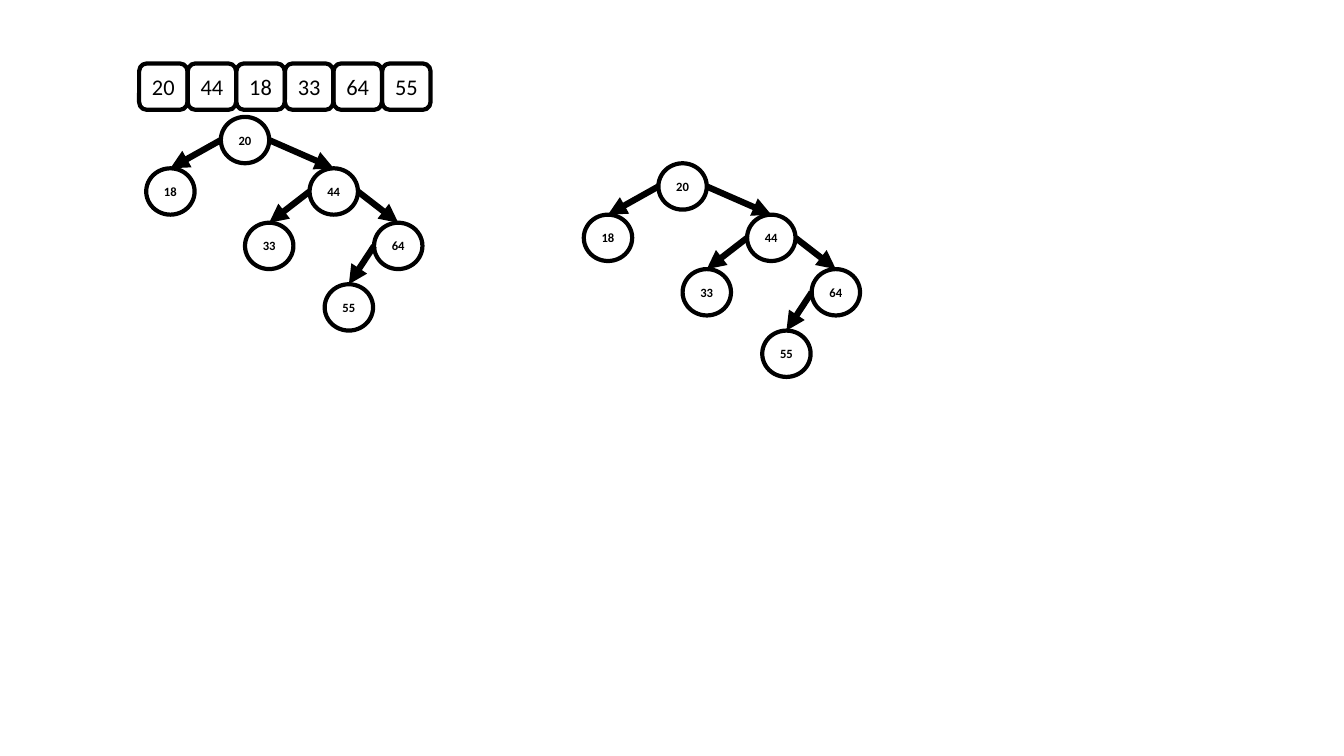
from lxml import etree
from pptx import Presentation
from pptx.dml.color import RGBColor
from pptx.enum.shapes import MSO_CONNECTOR, MSO_SHAPE
from pptx.enum.text import MSO_ANCHOR, PP_ALIGN
from pptx.oxml.ns import qn
from pptx.util import Inches, Pt

ARRAY = [20, 44, 18, 33, 64, 55]
NODE_OFFSETS = {
    20: (0, 0),
    44: (0.88, 0.51),
    18: (-0.74, 0.51),
    33: (0.24, 1.05),
    64: (1.52, 1.05),
    55: (1.03, 1.66),
}
EDGES = [(20, 18), (20, 44), (44, 33), (44, 64), (64, 55)]
TREE_ROOTS = [(2.19, 1.16), (6.53, 1.62)]
ARRAY_LEFT, ARRAY_TOP = 1.38, 0.63
CELL_W, CELL_H = 0.48, 0.46
CELL_STEP = 0.482
BLACK = RGBColor(0, 0, 0)

prs = Presentation()
prs.slide_width, prs.slide_height = Inches(13.33), Inches(7.5)
slide = prs.slides.add_slide(prs.slide_layouts[6])


def add_value(kind, left, top, value, size, bold):
    shape = slide.shapes.add_shape(
        kind, Inches(left), Inches(top), Inches(CELL_W), Inches(CELL_H))
    shape.shadow.inherit = False
    shape.fill.background()
    shape.line.color.rgb = BLACK
    shape.line.width = Pt(3)
    frame = shape.text_frame
    frame.margin_left = frame.margin_right = 0
    frame.vertical_anchor = MSO_ANCHOR.MIDDLE
    paragraph = frame.paragraphs[0]
    paragraph.alignment = PP_ALIGN.CENTER
    run = paragraph.add_run()
    run.text = str(value)
    run.font.name = "Calibri"
    run.font.size = Pt(size)
    run.font.bold = bold
    run.font.color.rgb = BLACK


def add_arrow(x1, y1, x2, y2):
    arrow = slide.shapes.add_connector(
        MSO_CONNECTOR.STRAIGHT, Inches(x1), Inches(y1), Inches(x2), Inches(y2))
    arrow.line.color.rgb = BLACK
    arrow.line.width = Pt(4.5)
    etree.SubElement(arrow.line._get_or_add_ln(), qn("a:tailEnd"), type="triangle")
    etree.SubElement(arrow._element.spPr, qn("a:effectLst"))


def add_tree(root_left, root_top):
    nodes = {value: (root_left + dx, root_top + dy)
             for value, (dx, dy) in NODE_OFFSETS.items()}
    for value, (left, top) in nodes.items():
        add_value(MSO_SHAPE.OVAL, left, top, value, 9, True)
    for parent, child in EDGES:
        parent_left, parent_top = nodes[parent]
        child_left, child_top = nodes[child]
        side = CELL_W if child_left > parent_left else 0
        add_arrow(parent_left + side, parent_top + CELL_H / 2,
                  child_left + CELL_W / 2, child_top)


for index, value in enumerate(ARRAY):
    add_value(MSO_SHAPE.ROUNDED_RECTANGLE, ARRAY_LEFT + index * CELL_STEP,
              ARRAY_TOP, value, 16, False)
for root in TREE_ROOTS:
    add_tree(*root)

prs.save("out.pptx")
